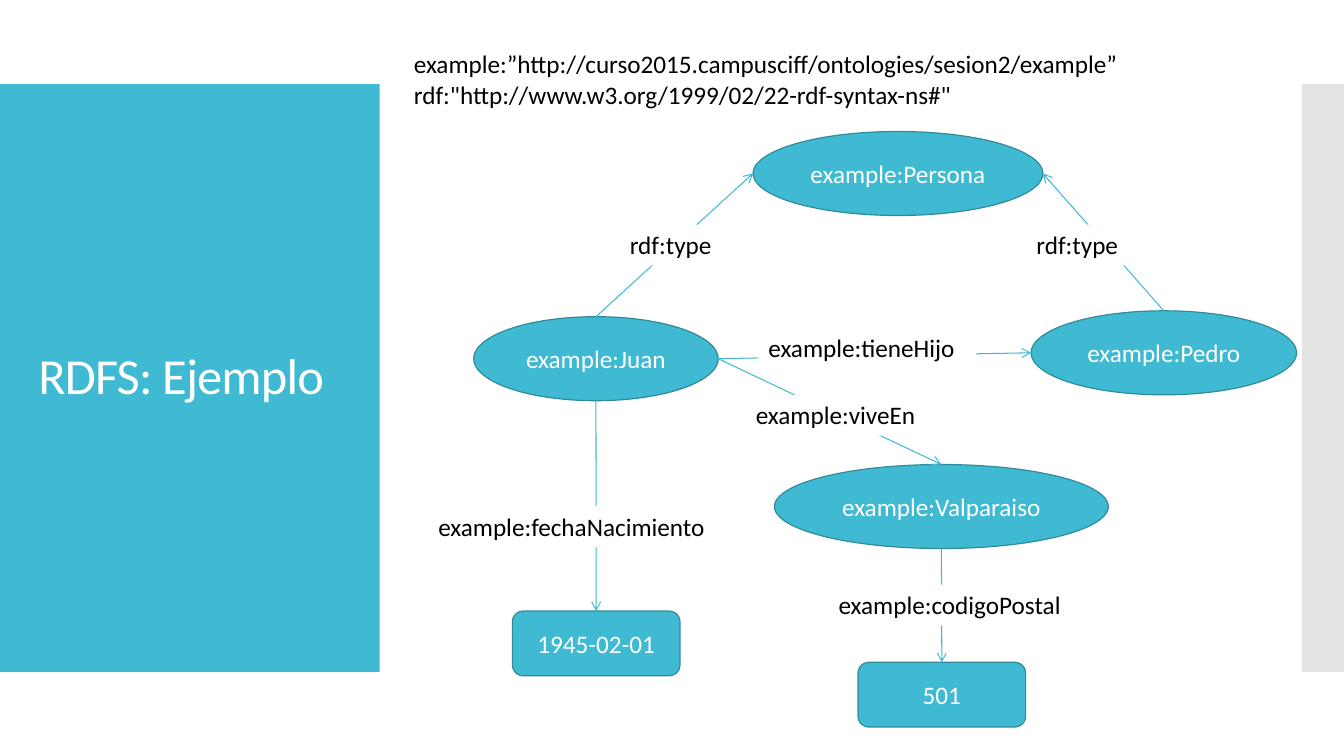
from lxml import etree
from pptx import Presentation
from pptx import util as u
from pptx.dml.color import RGBColor
from pptx.enum import shapes, text
from pptx.oxml.ns import qn

COLUMNS, ROWS = 160, 90
CELL = u.Inches(7.5) / ROWS
COLORS = {
    "accent": "40BAD2",
    "outline": "2F8A9B",
    "gray": "C8C8C8",
    "white": "FFFFFF",
    "black": "000000",
}
OVAL = shapes.MSO_SHAPE.OVAL
ROUNDED = shapes.MSO_SHAPE.ROUNDED_RECTANGLE
RECTANGLE = shapes.MSO_SHAPE.RECTANGLE

NODES = {
    "example:Juan": (OVAL, 56.4, 37.7, 29.1, 10),
    "example:Pedro": (OVAL, 122.75, 37, 31.6, 10),
    "example:Valparaiso": (OVAL, 92.2, 55.3, 39.75, 10),
    "1945-02-01": (ROUNDED, 61, 72.75, 19.95, 7.7),
    "501": (ROUNDED, 102.15, 78.85, 19.95, 7.7),
    "example:Persona": (OVAL, 89.65, 15.65, 34.5, 10),
}
LINKS = [
    ("example:Juan", "top", "example:Persona", "left", "rdf:type", 73.8, 26.75, 13),
    ("example:Pedro", "top", "example:Persona", "right", "rdf:type", 122.2, 26.75, 13),
    ("example:Juan", "right", "example:Pedro", "left", "example:tieneHijo", 90.3, 39, 25.9),
    ("example:Juan", "right", "example:Valparaiso", "top", "example:viveEn", 88.8, 47, 23.3),
    ("example:Juan", "bottom", "1945-02-01", "top", "example:fechaNacimiento", 51, 60.25, 35.5),
    ("example:Valparaiso", "bottom", "501", "top", "example:codigoPostal", 98.65, 69.6, 30.2),
]
LABEL_ROWS = 4.85
SIDES = {"top": (0.5, 0), "bottom": (0.5, 1), "left": (0, 0.5), "right": (1, 0.5)}


def grid(*cells):
    return [u.Emu(round(cell * CELL)) for cell in cells]


def rgb(name):
    return RGBColor.from_string(COLORS[name])


def add_block(slide, kind, box, fill, outline=None):
    shape = slide.shapes.add_shape(kind, *grid(*box))
    shape.shadow.inherit = False
    shape.fill.solid()
    shape.fill.fore_color.rgb = rgb(fill)
    if outline:
        shape.line.color.rgb = rgb(outline)
        shape.line.width = u.Pt(0.85)
    else:
        shape.line.fill.background()
    return shape


def write(shape, lines, color, size=18, align=text.PP_ALIGN.LEFT, anchor=text.MSO_ANCHOR.TOP):
    frame = shape.text_frame
    frame.word_wrap = True
    frame.vertical_anchor = anchor
    frame.text = "\n".join(lines)
    for paragraph in frame.paragraphs:
        paragraph.alignment = align
        paragraph.font.name = "Calibri"
        paragraph.font.size = u.Pt(size)
        paragraph.font.color.rgb = rgb(color)
    return frame


def add_node(slide, name):
    kind, *box = NODES[name]
    shape = add_block(slide, kind, box, "accent", "outline")
    write(shape, [name], "white", align=text.PP_ALIGN.CENTER, anchor=text.MSO_ANCHOR.MIDDLE)


def anchor_point(name, side):
    _, left, top, width, height = NODES[name]
    across, down = SIDES[side]
    return left + across * width, top + down * height


def add_link(slide, source, source_side, target, target_side, label, left, top, width):
    ends = anchor_point(source, source_side) + anchor_point(target, target_side)
    connector = slide.shapes.add_connector(shapes.MSO_CONNECTOR.STRAIGHT, *grid(*ends))
    connector.line.color.rgb = rgb("accent")
    connector.line.width = u.Pt(0.75)
    etree.SubElement(connector.line._get_or_add_ln(), qn("a:tailEnd"), type="arrow")
    etree.SubElement(connector._element.spPr, qn("a:effectLst"))
    shape = add_block(slide, RECTANGLE, (left, top, width, LABEL_ROWS), "white")
    write(shape, [label], "black")


def add_panels(slide):
    add_block(slide, RECTANGLE, (0, 10, 45.2, 70), "accent")
    strip = add_block(slide, RECTANGLE, (155, 10, 5, 70), "gray")
    color = strip._element.spPr.find(qn("a:solidFill"))[0]
    etree.SubElement(color, qn("a:alpha"), val="50000")


def add_title(slide):
    box = slide.shapes.add_textbox(*grid(3.4, 14.8, 38.6, 60.4))
    frame = write(box, ["RDFS: Ejemplo"], "white", size=36, anchor=text.MSO_ANCHOR.MIDDLE)
    paragraph = frame.paragraphs[0]
    paragraph.line_spacing = 0.9
    paragraph.font._element.set("spc", "-60")


def add_prefixes(slide):
    box = slide.shapes.add_textbox(*grid(48.1, 5.2, 89.5, 8.5))
    write(box, [
        "example:”http://curso2015.campusciff/ontologies/sesion2/example”",
        'rdf:"http://www.w3.org/1999/02/22-rdf-syntax-ns#"',
    ], "black")


def main():
    presentation = Presentation()
    presentation.slide_width, presentation.slide_height = grid(COLUMNS, ROWS)
    slide = presentation.slides.add_slide(presentation.slide_layouts[6])
    add_panels(slide)
    add_title(slide)
    add_prefixes(slide)
    for name in NODES:
        add_node(slide, name)
    for link in LINKS:
        add_link(slide, *link)
    presentation.save("out.pptx")


if __name__ == "__main__":
    main()
